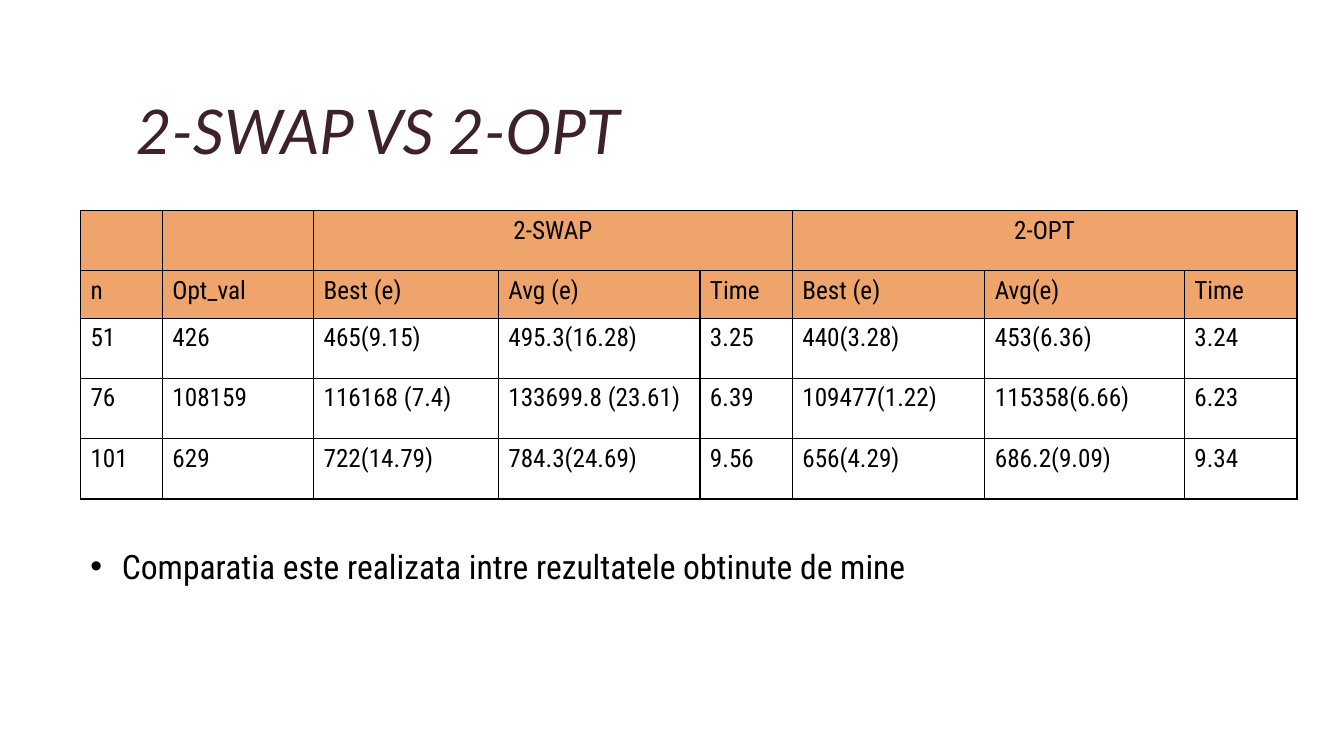
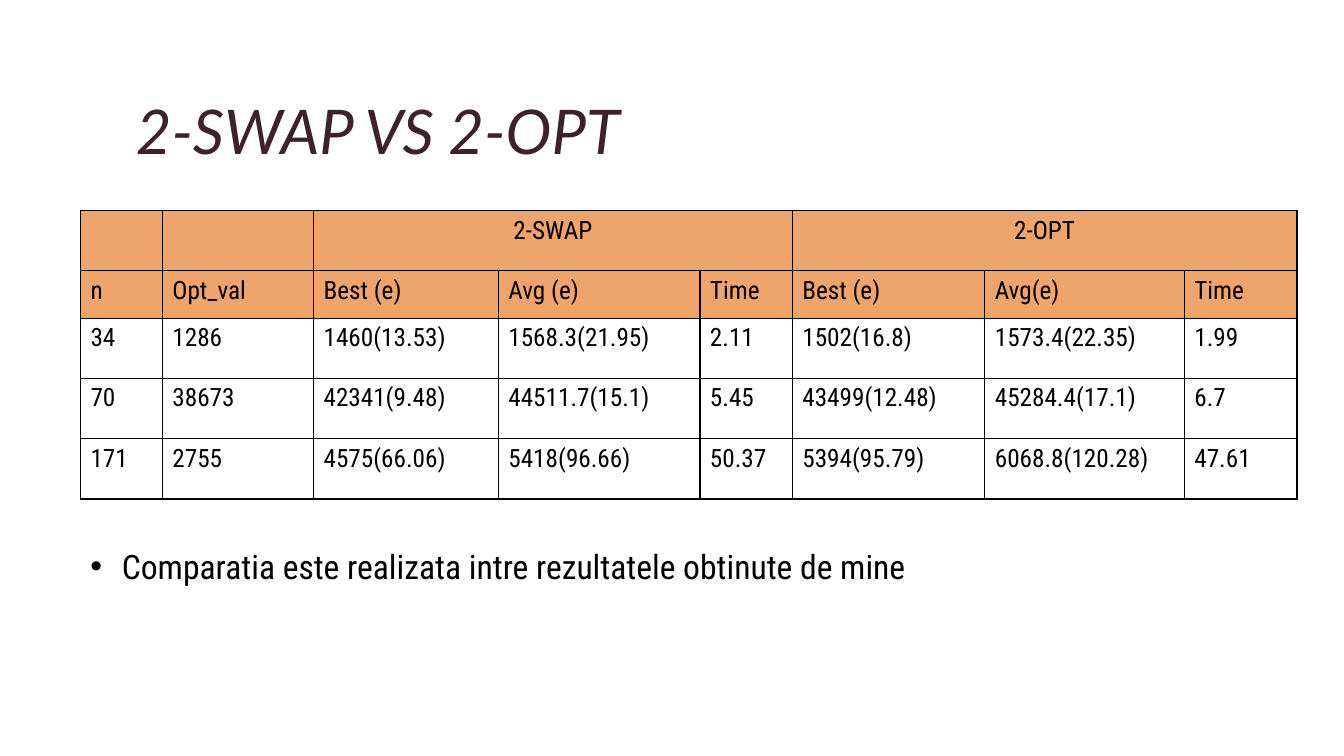
from lxml import etree
from pptx import Presentation
from pptx import util as u
from pptx.dml import color
from pptx.enum import text
from pptx.oxml import ns

COLORS = {"title": "3D2229", "header": "EFA46B", "ink": "000000"}
TITLE_FONT = "Lato"
BODY_FONT = "Roboto Condensed"

TITLE_BOX = (90, 42, 780, 108.5)
TABLE_BOX = (57.5, 150.5, 869, 206)
NOTE_BOX = (57.5, 386.5, 689, 36)

COLUMN_WIDTHS = [58.5, 108, 132, 144, 66, 137.5, 142.5, 80.5]
ROW_HEIGHTS = [43, 34, 43, 43, 43]
HEADER_ROWS = [
    ["", "", "2-SWAP", "", "", "2-OPT", "", ""],
    ["n", "Opt_val", "Best (e)", "Avg (e)", "Time", "Best (e)", "Avg(e)", "Time"],
]
GROUP_SPANS = [(2, 4), (5, 7)]

TITLE = "2-SWAP VS 2-OPT"
NOTE = "Comparatia este realizata intre rezultatele obtinute de mine"
RESULTS = [
    [
        ["51", "426", "465(9.15)", "495.3(16.28)", "3.25", "440(3.28)", "453(6.36)", "3.24"],
        ["76", "108159", "116168 (7.4)", "133699.8 (23.61)", "6.39",
         "109477(1.22)", "115358(6.66)", "6.23"],
        ["101", "629", "722(14.79)", "784.3(24.69)", "9.56", "656(4.29)", "686.2(9.09)", "9.34"],
    ],
    [
        ["34", "1286", "1460(13.53)", "1568.3(21.95)", "2.11",
         "1502(16.8)", "1573.4(22.35)", "1.99"],
        ["70", "38673", "42341(9.48)", "44511.7(15.1)", "5.45",
         "43499(12.48)", "45284.4(17.1)", "6.7"],
        ["171", "2755", "4575(66.06)", "5418(96.66)", "50.37",
         "5394(95.79)", "6068.8(120.28)", "47.61"],
    ],
]


def rgb(name):
    return color.RGBColor.from_string(COLORS[name])


def points(box):
    return [u.Pt(length) for length in box]


def set_font(paragraph, name, size, color_name, italic=False):
    font = paragraph.font
    font.name = name
    font.size = u.Pt(size)
    font.italic = italic
    font.color.rgb = rgb(color_name)


def add_text(slide, box, content):
    frame = slide.shapes.add_textbox(*points(box)).text_frame
    frame.word_wrap = True
    paragraph = frame.paragraphs[0]
    paragraph.text = content
    return frame, paragraph


def add_title(slide, box):
    frame, paragraph = add_text(slide, box, TITLE)
    frame.vertical_anchor = text.MSO_ANCHOR.MIDDLE
    paragraph.line_spacing = 0.9
    set_font(paragraph, TITLE_FONT, 44, "title", italic=True)


def add_note(slide, box):
    frame, paragraph = add_text(slide, box, NOTE)
    frame.auto_size = text.MSO_AUTO_SIZE.SHAPE_TO_FIT_TEXT
    properties = paragraph._p.get_or_add_pPr()
    indent = u.Pt(22.5)
    properties.set("marL", str(indent))
    properties.set("indent", str(-indent))
    etree.SubElement(properties, ns.qn("a:buFont"), typeface="Arial")
    etree.SubElement(properties, ns.qn("a:buChar"), char="•")
    set_font(paragraph, BODY_FONT, 24, "ink")


def add_borders(cell):
    properties = cell._tc.get_or_add_tcPr()
    for side in ("lnL", "lnR", "lnT", "lnB"):
        line = etree.SubElement(properties, ns.qn(f"a:{side}"), w=str(u.Pt(1)))
        fill = etree.SubElement(line, ns.qn("a:solidFill"))
        etree.SubElement(fill, ns.qn("a:srgbClr"), val=COLORS["ink"])


def style_cell(cell, content, is_header, is_group):
    add_borders(cell)
    if is_header:
        cell.fill.solid()
        cell.fill.fore_color.rgb = rgb("header")
    else:
        cell.fill.background()
    paragraph = cell.text_frame.paragraphs[0]
    paragraph.text = content
    paragraph.alignment = text.PP_ALIGN.CENTER if is_group else text.PP_ALIGN.LEFT
    set_font(paragraph, BODY_FONT, 18, "ink")


def add_results_table(slide, box, results):
    rows = HEADER_ROWS + results
    table = slide.shapes.add_table(len(rows), len(COLUMN_WIDTHS), *points(box)).table
    table.first_row = table.horz_banding = False
    for column, width in zip(table.columns, COLUMN_WIDTHS):
        column.width = u.Pt(width)
    for row, height in zip(table.rows, ROW_HEIGHTS):
        row.height = u.Pt(height)
    for row_index, row in enumerate(rows):
        for column_index, content in enumerate(row):
            style_cell(table.cell(row_index, column_index), content,
                       row_index < len(HEADER_ROWS), row_index == 0)
    for first, last in GROUP_SPANS:
        table.cell(0, first).merge(table.cell(0, last))


def add_comparison_slide(presentation, results):
    slide = presentation.slides.add_slide(presentation.slide_layouts[6])
    add_title(slide, TITLE_BOX)
    add_results_table(slide, TABLE_BOX, results)
    add_note(slide, NOTE_BOX)


def main():
    presentation = Presentation()
    presentation.slide_width = u.Pt(960)
    presentation.slide_height = u.Pt(540)
    for results in RESULTS:
        add_comparison_slide(presentation, results)
    presentation.save("out.pptx")


if __name__ == "__main__":
    main()
